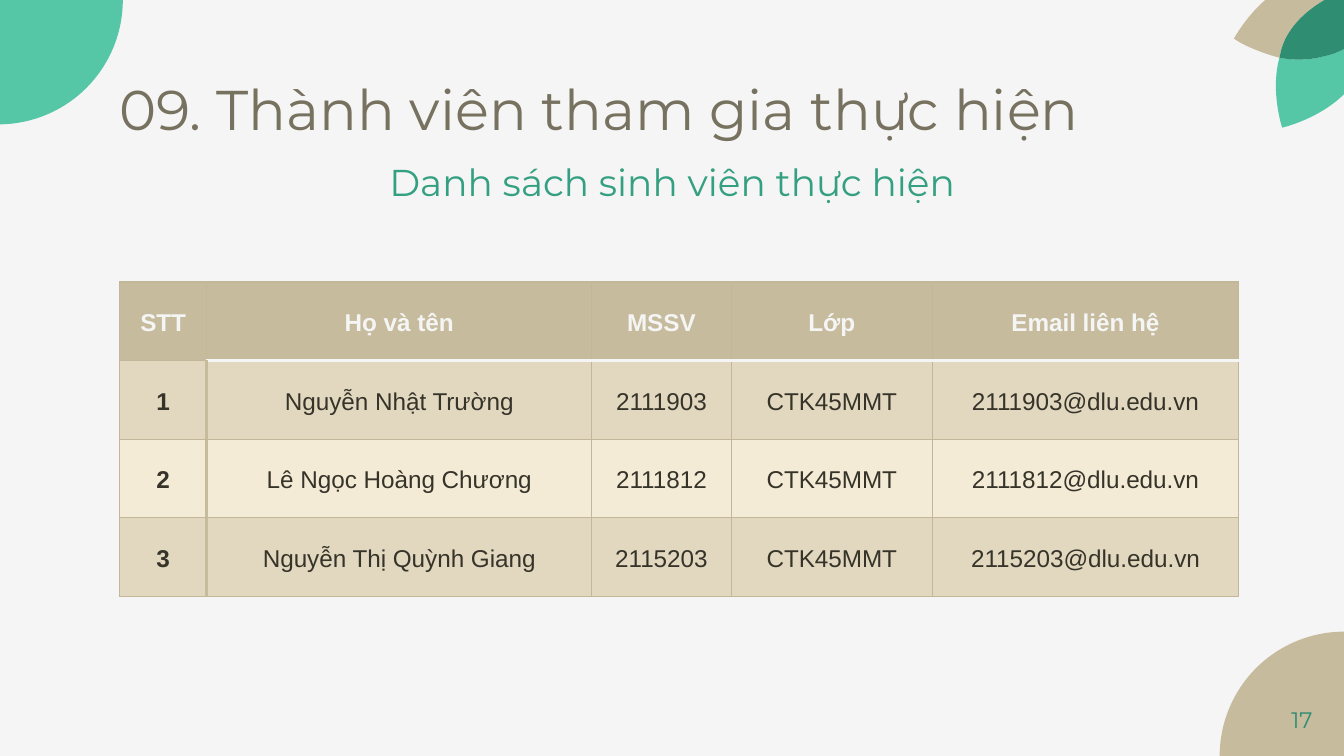
"""Build the slide that lists the students taking part."""
from lxml import etree
from pptx import Presentation
from pptx import util as u
from pptx.dml.color import RGBColor
from pptx.enum import shapes, text
from pptx.oxml import ns

Pt = u.Pt
TAN, MINT, PINE, EDGE, PALE = "C6BB9D", "55C7A6", "2F8D72", "C3B799", "F5F5F5"


def paint(fill, tone):
    """Fill with one solid colour."""
    fill.solid()
    fill.fore_color.rgb = RGBColor.from_string(tone)


def write(frame, words, size, tone, face="Montserrat", bold=False, align="LEFT"):
    """Put one formatted run in the first paragraph."""
    para = frame.paragraphs[0]
    para.alignment = getattr(text.PP_ALIGN, align)
    run = para.add_run()
    run.text = words
    run.font.size, run.font.name, run.font.bold = Pt(size), face, bold
    paint(run.font.fill, tone)
    return para


deck = Presentation()
deck.slide_width, deck.slide_height = Pt(720), Pt(405)
slide = deck.slides.add_slide(deck.slide_layouts[5])
paint(slide.background.fill, PALE)
items = slide.shapes

# Each leaf has a start point and cubic curves, in hundredths of an inch.
leaves = [
    (MINT, (954, 95), [(954, 95), (994, 86), (1011, 56), (1017, 45), (1020, 32), (1020, 21),
                       (1011, 30), (1000, 39), (985, 42), (974, 45), (962, 45), (952, 43),
                       (945, 68), (954, 95), (954, 95)]),
    (TAN, (918, 29), [(918, 29), (919, 29), (920, 30), (924, 33), (937, 39), (952, 43),
                      (953, 37), (955, 31), (958, 26), (975, -3), (1015, -12), (1015, -12),
                      (1015, -12), (1020, 3), (1020, 21), (1031, 9), (1037, -3), (1037, -3),
                      (1037, -3), (1036, -3), (1035, -4), (1028, -8), (998, -24), (970, -16),
                      (937, -7), (918, 29), (918, 29)]),
    (PINE, (952, 43), [(962, 45), (974, 45), (985, 42), (1000, 39), (1011, 30), (1020, 21),
                       (1020, 3), (1015, -12), (1015, -12), (1015, -12), (975, -3), (958, 26),
                       (955, 31), (953, 37), (952, 43)]),
]
for tone, start, dots in leaves:
    pen = items.build_freeform(*start, scale=Pt(0.72))
    pen.add_line_segments(dots, close=True)
    leaf = pen.convert_to_shape()
    lines = list(leaf._element.iter(ns.qn("a:lnTo")))
    for i in range(0, len(dots), 3):
        curve = etree.Element(ns.qn("a:cubicBezTo"))
        lines[i].addprevious(curve)
        for line in lines[i:i + 3]:
            curve.append(line[0])
            line.getparent().remove(line)
    paint(leaf.fill, tone)
    leaf.line.fill.background()
    leaf.shadow.inherit = False

for left, top, turn, tone in [(-67.4, -66.6, 0, MINT), (653.4, 338.4, 180, TAN)]:
    pie = items.add_shape(shapes.MSO_SHAPE.PIE, Pt(left), Pt(top), Pt(133.2), Pt(133.2))
    pie.adjustments[0], pie.adjustments[1] = 0, 54.447
    pie.rotation = turn
    paint(pie.fill, tone)
    pie.line.fill.background()
    pie.shadow.inherit = False

title = items.title
title.left, title.top, title.width, title.height = Pt(56.7), Pt(32.8), Pt(607), Pt(45.4)
lead = items.add_textbox(Pt(56.7), Pt(77.8), Pt(607), Pt(38.9))
page = items.add_textbox(Pt(684.7), Pt(361.8), Pt(35.3), Pt(38.2))
for box, words, size, tone, align, anchor in [
    (title, "09. Thành viên tham gia thực hiện", 30, "77715F", "LEFT", "TOP"),
    (lead, "Danh sách sinh viên thực hiện", 20, "35A081", "CENTER", "BOTTOM"),
    (page, "17", 12, PINE, "LEFT", "BOTTOM"),
]:
    frame = box.text_frame
    frame.word_wrap = True
    frame.auto_size = text.MSO_AUTO_SIZE.NONE
    frame.vertical_anchor = getattr(text.MSO_ANCHOR, anchor)
    frame.margin_left = frame.margin_right = Pt(7.2)
    frame.margin_top = frame.margin_bottom = Pt(7.2)
    write(frame, words, size, tone, align=align)

rows = [("STT", "Họ và tên", "MSSV", "Lớp", "Email liên hệ")]
people = [("Nguyễn Nhật Trường", "2111903"), ("Lê Ngọc Hoàng Chương", "2111812"),
          ("Nguyễn Thị Quỳnh Giang", "2115203")]
for i, (name, code) in enumerate(people, 1):
    rows.append((str(i), name, code, "CTK45MMT", f"{code}@dlu.edu.vn"))
cols = [46.8, 206, 75, 107.6, 164.2]
grid = items.add_table(len(rows), len(cols), Pt(64), Pt(151.1),
                       Pt(sum(cols)), Pt(168.4)).table
grid.first_row = grid.horz_banding = False
for col, width in zip(grid.columns, cols):
    col.width = Pt(width)
for r, row in enumerate(rows):
    grid.rows[r].height = Pt(42.1)
    for c, words in enumerate(row):
        cell = grid.cell(r, c)
        cell.vertical_anchor = text.MSO_ANCHOR.MIDDLE
        cell.margin_left = cell.margin_right = Pt(5)
        cell.margin_top = cell.margin_bottom = 0
        paint(cell.fill, TAN if r == 0 else "E2D8C0" if r % 2 else "F4EBD7")
        para = write(cell.text_frame, words, 13, PALE if r == 0 else "363329",
                     "Arial", r == 0 or c == 0, "CENTER")
        para.line_spacing = 1.15
        edges = dict.fromkeys("LRTB", (EDGE, 0.75))
        if r and c < 2:
            edges["R" if c == 0 else "L"] = (TAN, 2)
        if r < 2 and c:
            edges["T" if r else "B"] = (PALE, 2)
        props = cell._tc.get_or_add_tcPr()
        for i, (side, (tone, size)) in enumerate(edges.items()):
            line = etree.Element(ns.qn(f"a:ln{side}"), w=str(Pt(size)))
            solid = etree.SubElement(line, ns.qn("a:solidFill"))
            etree.SubElement(solid, ns.qn("a:srgbClr"), val=tone)
            props.insert(i, line)

deck.save("out.pptx")
